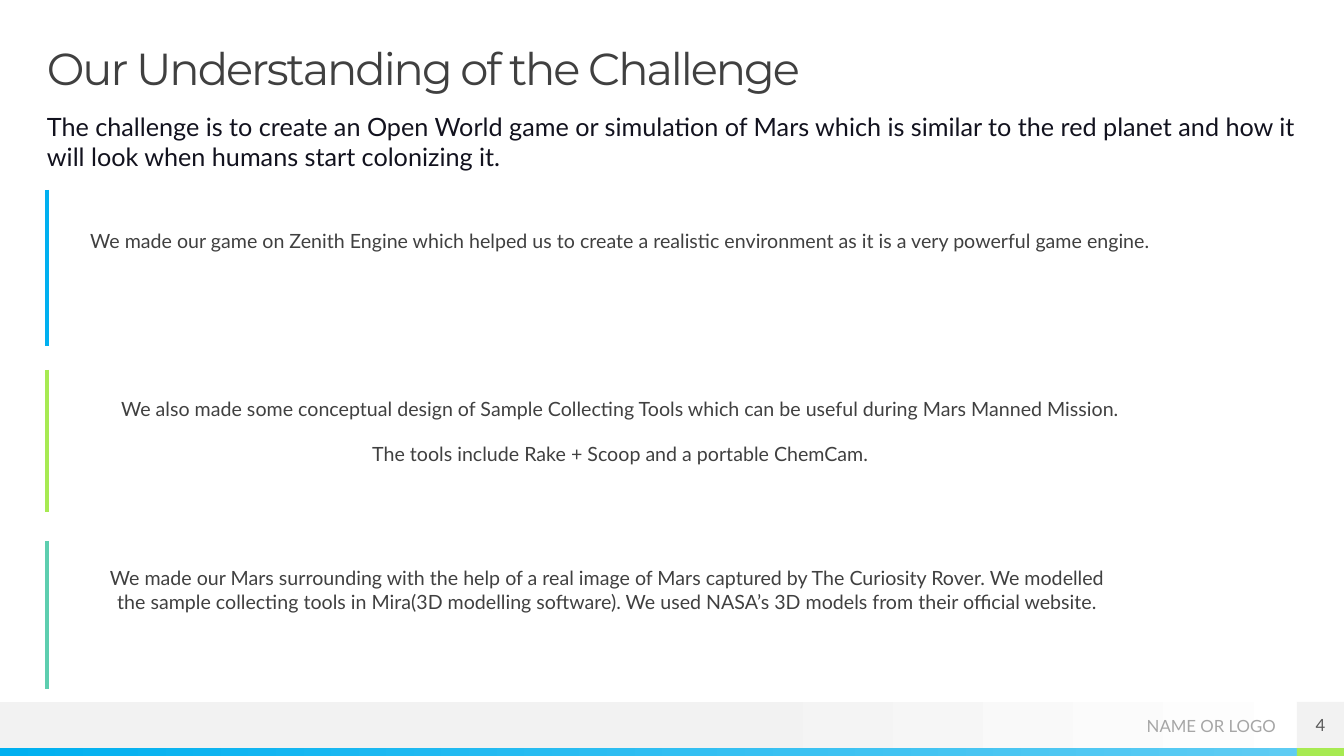
from dataclasses import dataclass

from lxml import etree
from pptx import Presentation
from pptx.dml.color import RGBColor
from pptx.enum.shapes import MSO_CONNECTOR as Connector, MSO_SHAPE as Shape
from pptx.enum.text import MSO_ANCHOR as Anchor, PP_ALIGN as Align
from pptx.oxml.ns import qn
from pptx.util import Pt

SLIDE_WIDTH, SLIDE_HEIGHT = 1344, 756
EMU_PER_PX = 12192000 / SLIDE_WIDTH


def px(length):
    return round(length * EMU_PER_PX)


@dataclass(frozen=True)
class Theme:
    body_font: str = "Lato"
    title_font: str = "Montserrat"
    title_size: int = 32
    lead_size: int = 18
    point_size: int = 14
    footer_size: int = 12
    text: str = "404040"
    lead: str = "12121E"
    logo: str = "A6A6A6"
    number: str = "595959"
    white: str = "FFFFFF"
    grey: str = "F2F2F2"
    blue: str = "00B0F0"
    sky: str = "5ECCF3"
    green: str = "A7EA52"
    teal: str = "5DCEAF"


class SlideBuilder:
    def __init__(self, page, theme):
        self.page = page
        self.theme = theme

    def rectangle(self, area, *stops):
        shape = self.page.shapes.add_shape(Shape.RECTANGLE, *map(px, area))
        shape.shadow.inherit = False
        shape.line.fill.background()
        if len(stops) == 1:
            shape.fill.solid()
            shape.fill.fore_color.rgb = RGBColor.from_string(stops[0])
        else:
            shape.fill.gradient()
            shape.fill.gradient_angle = 0
            for stop, (position, color) in zip(shape.fill.gradient_stops, stops):
                stop.position = position
                stop.color.rgb = RGBColor.from_string(color)
        return shape

    def rule(self, x, top, bottom, color):
        line = self.page.shapes.add_connector(
            Connector.STRAIGHT, px(x), px(top), px(x), px(bottom))
        line.line.color.rgb = RGBColor.from_string(color)
        line.line.width = Pt(2.25)
        etree.SubElement(line._element.spPr, qn("a:effectLst"))

    def text(self, area, paragraphs, size, color, **style):
        box = self.page.shapes.add_textbox(*map(px, area))
        self.fill_text(box, paragraphs, size, color, **style)

    def fill_text(self, shape, paragraphs, size, color, align=Align.LEFT,
                  anchor=Anchor.TOP, font=None, line_spacing=None, tracking=None):
        frame = shape.text_frame
        frame_format = {"word_wrap": True, "vertical_anchor": anchor,
                        "margin_left": 0, "margin_top": 0,
                        "margin_right": 0, "margin_bottom": 0}
        for name, value in frame_format.items():
            setattr(frame, name, value)
        for index, words in enumerate(paragraphs):
            para = frame.add_paragraph() if index else frame.paragraphs[0]
            para_format = {"alignment": align, "line_spacing": line_spacing,
                           "space_before": Pt(10 if index else 0),
                           "space_after": Pt(5)}
            for name, value in para_format.items():
                setattr(para, name, value)
            span = para.add_run()
            span.text = words
            span_format = {"name": font or self.theme.body_font, "size": Pt(size)}
            for name, value in span_format.items():
                setattr(span.font, name, value)
            span.font.color.rgb = RGBColor.from_string(color)
            if tracking is not None:
                span._r.get_or_add_rPr().set("spc", str(tracking))


def main():
    deck = Presentation()
    deck.slide_width, deck.slide_height = px(SLIDE_WIDTH), px(SLIDE_HEIGHT)
    theme = Theme()
    slide = SlideBuilder(deck.slides.add_slide(deck.slide_layouts[6]), theme)

    margin = 47
    content_width = 1250
    footer_top, footer_height = 702, 46
    strip_top = footer_top + footer_height
    strip_height = SLIDE_HEIGHT - strip_top
    corner_left = margin + content_width
    corner_width = SLIDE_WIDTH - corner_left

    slide.rectangle((0, footer_top, SLIDE_WIDTH, footer_height),
                    (0.53, theme.grey), (1, theme.white))
    slide.rectangle((0, strip_top, corner_left, strip_height),
                    (0, theme.blue), (1, theme.sky))
    slide.rectangle((corner_left, strip_top, corner_width, strip_height), theme.green)
    slide.text((1050, footer_top, 226, 47), ["NAME OR LOGO"], theme.footer_size,
               theme.logo, align=Align.RIGHT, anchor=Anchor.MIDDLE)

    slide.text((margin, 47, content_width, 47), ["Our Understanding of the Challenge"],
               theme.title_size, theme.text, font=theme.title_font,
               line_spacing=0.9, tracking=-150)
    slide.text((margin, 111, content_width, 68),
               ["The challenge is to create an Open World game or simulation of Mars "
                "which is similar to the red planet and how it will look when humans "
                "start colonizing it."], theme.lead_size, theme.lead)

    points = [
        (theme.blue, 190, 346, (80, 229, 1081, 80),
         ["We made our game on Zenith Engine which helped us to create a realistic "
          "environment as it is a very powerful game engine."]),
        (theme.green, 370, 512, (94, 397, 1053, 80),
         ["We also made some conceptual design of Sample Collecting Tools which can "
          "be useful during Mars Manned Mission.",
          "The tools include Rake + Scoop and a portable ChemCam."]),
        (theme.teal, 541, 689, (94, 566, 1027, 80),
         ["We made our Mars surrounding with the help of a real image of Mars captured "
          "by The Curiosity Rover. We modelled the sample collecting tools in "
          "Mira(3D modelling software). We used NASA’s 3D models from their "
          "official website."]),
    ]
    for color, top, bottom, area, paragraphs in points:
        slide.rule(margin, top, bottom, color)
        slide.text(area, paragraphs, theme.point_size, theme.text, align=Align.CENTER)

    number = slide.rectangle((corner_left, footer_top, corner_width, footer_height),
                             theme.grey)
    slide.fill_text(number, ["4"], theme.footer_size, theme.number,
                    align=Align.CENTER, anchor=Anchor.MIDDLE)

    deck.save("out.pptx")


if __name__ == "__main__":
    main()
